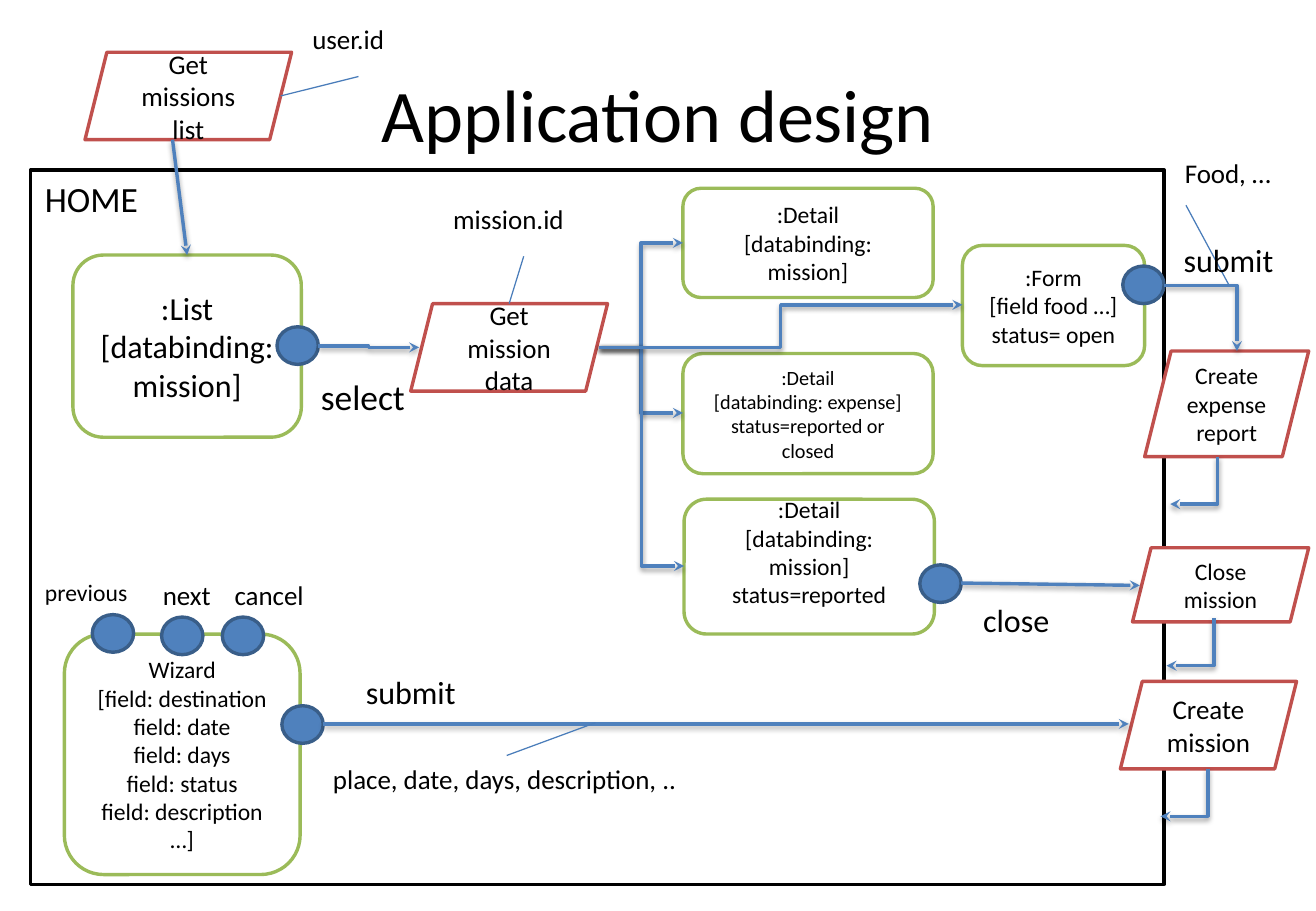
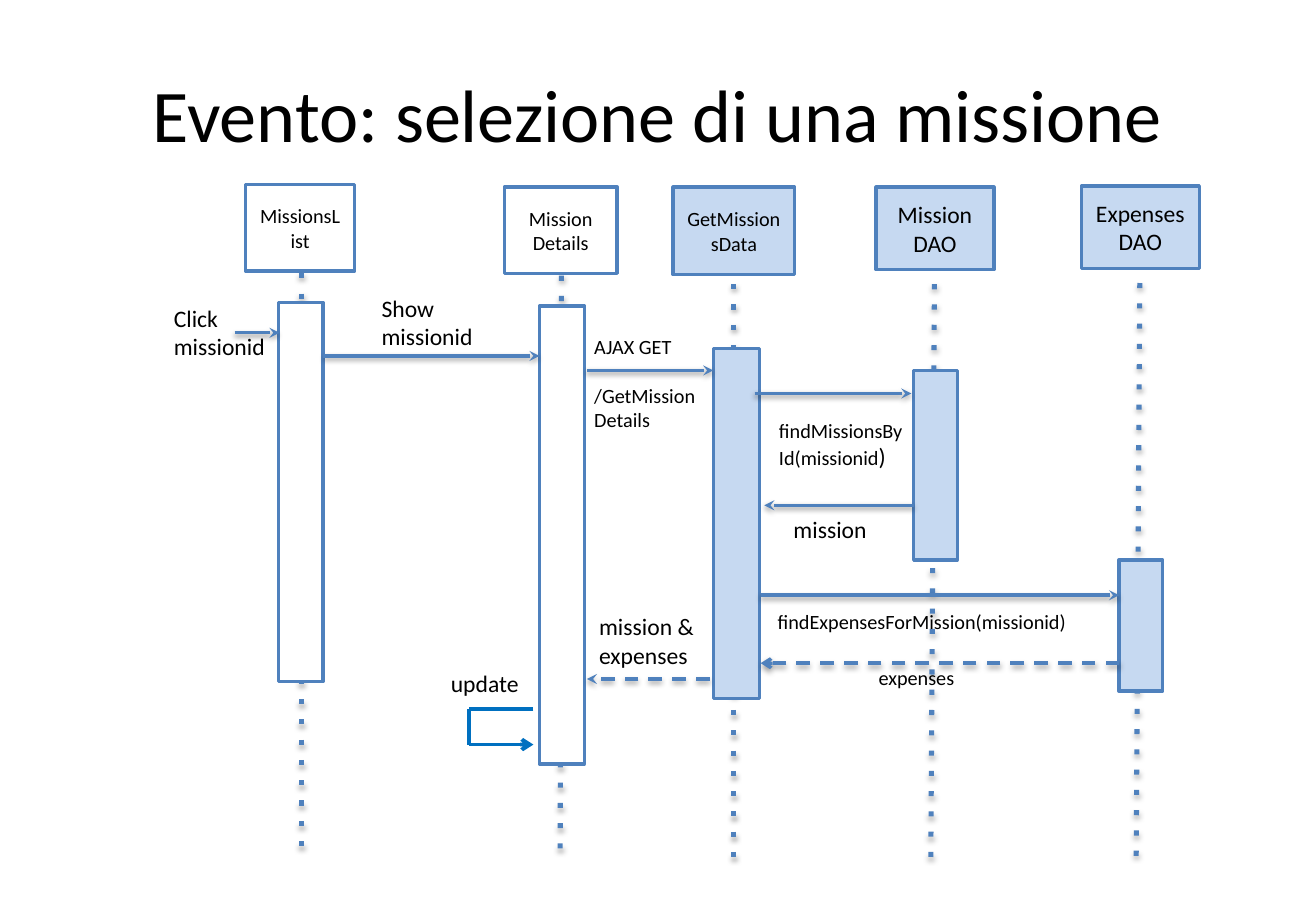
from lxml import etree
from pptx import Presentation
from pptx.dml.color import RGBColor
from pptx.enum.shapes import MSO_CONNECTOR, MSO_SHAPE
from pptx.enum.text import MSO_ANCHOR, PP_ALIGN
from pptx.oxml.ns import qn
from pptx.util import Inches, Pt

RECT, ROUND = MSO_SHAPE.RECTANGLE, MSO_SHAPE.ROUNDED_RECTANGLE
SLANT, OVAL = MSO_SHAPE.PARALLELOGRAM, MSO_SHAPE.OVAL
STRAIGHT, ELBOW = MSO_CONNECTOR.STRAIGHT, MSO_CONNECTOR.ELBOW
LEFT, CENTER = PP_ALIGN.LEFT, PP_ALIGN.CENTER
TOP, MIDDLE = MSO_ANCHOR.TOP, MSO_ANCHOR.MIDDLE

BLACK = RGBColor(0x00, 0x00, 0x00)
WHITE = RGBColor(0xFF, 0xFF, 0xFF)
BLUE = RGBColor(0x4F, 0x81, 0xBD)
DARK_BLUE = RGBColor(0x39, 0x5E, 0x89)
THIN_BLUE = RGBColor(0x4A, 0x7D, 0xBA)
LOOP_BLUE = RGBColor(0x00, 0x70, 0xC0)
PALE_BLUE = RGBColor(0xC6, 0xD9, 0xF1)
GREEN = RGBColor(0x9B, 0xBB, 0x59)
RED = RGBColor(0xC0, 0x50, 0x4D)

# Grid: ten columns and ten rows to the inch
UNIT = Inches(0.1)
COLS, ROWS = 108.3, 75
FRAME = dict(word_wrap=True, vertical_anchor=MIDDLE,
             margin_left=Inches(0.12), margin_right=Inches(0.12),
             margin_top=Inches(0.06), margin_bottom=Inches(0.06))
HEAD_FRAME = dict(margin_left=Inches(0.11), margin_right=Inches(0.11))

# Connector formats
ARROW = dict(color=BLUE, width=2, tail="stealth", shadow=(20000, 38000))
DASHED = ARROW | dict(dash="dash")
REPLY = DASHED | dict(tail="arrow")
LIFELINE = dict(color=BLUE, width=3, dash="dot", shadow=(23000, 35000))
LEADER = dict(color=THIN_BLUE, width=0.75)
LOOP = dict(color=LOOP_BLUE, width=2.25)


def box(s, kind, at, text="", size=14, fill=None, line=None,
        align=CENTER, **frame):
    """Add a preset shape, or a text box if kind is None; lines are paragraphs."""
    at = [round(v * UNIT) for v in at]
    if kind is None:
        sp = s.shapes.add_textbox(*at)
        align, frame = LEFT, dict(vertical_anchor=TOP) | frame
    else:
        sp = s.shapes.add_shape(kind, *at)
        sp.shadow.inherit = False
        sp.fill.solid()
        sp.fill.fore_color.rgb = fill
        sp.line.color.rgb = line
        sp.line.width = Pt(2)
    tf = sp.text_frame
    for name, value in (FRAME | frame).items():
        setattr(tf, name, value)
    tf.text = text
    for p in tf.paragraphs:
        p.alignment = align
        for r in p.runs:
            r.font.name, r.font.size = "Calibri", Pt(size)
            r.font.color.rgb = BLACK
    return sp


def link(s, ends, color, width, kind=STRAIGHT, dash=None, tail=None, shadow=None):
    """Connect (x1, y1, x2, y2); shadow is (distance in EMU, alpha)."""
    c = s.shapes.add_connector(kind, *[round(v * UNIT) for v in ends])
    c.line.color.rgb = color
    c.line.width = Pt(width)
    pr = c._element.spPr
    ln = pr.find(qn("a:ln"))
    if dash:
        etree.SubElement(ln, qn("a:prstDash"), val=dash)
    if tail:
        etree.SubElement(ln, qn("a:tailEnd"), type=tail)
    effects = etree.SubElement(pr, qn("a:effectLst"))
    if shadow:
        outer = etree.SubElement(effects, qn("a:outerShdw"), blurRad="40000",
                                 dist=str(shadow[0]), dir="5400000", rotWithShape="0")
        clr = etree.SubElement(outer, qn("a:srgbClr"), val="000000")
        etree.SubElement(clr, qn("a:alpha"), val=str(shadow[1]))
    return c


prs = Presentation()
prs.slide_width, prs.slide_height = round(COLS * UNIT), ROWS * UNIT
layout = prs.slide_layouts[5]
title = layout.placeholders[0]
for name, value in dict(left=5.4, top=3, width=97.5, height=12.5).items():
    setattr(title, name, round(value * UNIT))

for text in ("Application design", "Evento: selezione di una missione"):
    tf = prs.slides.add_slide(layout).shapes.title.text_frame
    for name, value in FRAME.items():
        setattr(tf, name, value)
    tf.text = text
    p = tf.paragraphs[0]
    p.alignment = CENTER
    for name, value in dict(name="Calibri", size=Pt(44)).items():
        setattr(p.runs[0].font, name, value)
    p.runs[0].font.color.rgb = BLACK
design, sequence = prs.slides

# Application design
s = design
box(s, RECT, (2.5, 14, 93.3, 58.8), "HOME", 21, WHITE, BLACK, LEFT,
    vertical_anchor=TOP)

views = [
    ((5.3, 52.2, 19.4, 19.8), 14, "Wizard\n[field: destination\nfield: date\n"
     "field: days\nfield: status\nfield: description …]"),
    ((6, 21, 18.8, 15), 19, ":List\n[databinding: mission]"),
    ((56.2, 15.5, 20.6, 9), 14, ":Detail\n[databinding: mission]"),
    ((56.2, 29.1, 20.6, 9.9), 12,
     ":Detail\n[databinding: expense]\nstatus=reported or closed"),
    ((79.2, 20.2, 15, 9.9), 14, ":Form\n[field food …]\nstatus= open"),
]
for at, size, text in views:
    box(s, ROUND, at, text, size, WHITE, GREEN)
box(s, ROUND, (56.3, 41.1, 20.6, 11.1),
    ":Detail\n[databinding: mission]\nstatus=reported", 14, WHITE, GREEN,
    margin_bottom=Inches(0.3))

actions = [
    ((7, 4.3, 17, 7.2), 16, "Get missions list"),
    ((33.8, 25, 16.2, 7.2), 16, "Get mission data"),
    ((94.2, 28.9, 13.5, 8.7), 14, "Create expense report"),
    ((93.2, 45.1, 14.5, 6.1), 14, "Close mission"),
    ((92.2, 56.1, 14.5, 7.2), 16, "Create mission"),
]
for at, size, text in actions:
    box(s, SLANT, at, text, size, WHITE, RED)

for x, y in [(23.2, 58.1), (22.8, 26.9), (7.6, 50.6), (13.3, 50.8),
             (18.3, 50.8), (75.7, 46.5), (92.4, 21.9)]:
    box(s, OVAL, (x, y, 3.4, 3.1), fill=BLUE, line=DARK_BLUE)

for ends in [(14.2, 11.5, 15.4, 21), (26.6, 59.6, 92.9, 59.6),
             (79.1, 48, 93.8, 48.2)]:
    link(s, ends, **ARROW)
link(s, (26.2, 28.5, 34.5, 28.6), kind=ELBOW, **ARROW)
for x, y in [(56.2, 20), (56.2, 34), (56.3, 46.6), (79.2, 25.1)]:
    link(s, (49.3, 28.6, x, y), kind=ELBOW, **ARROW)

# One-bend arrows: a quarter turn makes them run down, then left
turn = 3.9
bends = [((95.8, 23.5, 101.8, 28.9), 0)]
for x, y in [(100.2, 37.6), (99.9, 50.9), (99.4, 63.3)]:
    bends.append(((x - turn, y, x, y + turn), 90))
for ends, angle in bends:
    c = link(s, ends, kind=ELBOW, **ARROW)
    pr = c._element.spPr
    pr.find(qn("a:prstGeom")).set("prst", "bentConnector2")
    pr.find(qn("a:xfrm")).set("rot", str(angle * 60000))

for ends in [(41.7, 62.2, 49, 59.5), (43.1, 21.1, 41.9, 25),
             (29.5, 6.3, 23.1, 7.9), (97.6, 16.9, 101.1, 23.4)]:
    link(s, ends, **LEADER)

labels = [
    (24.5, 1.3, 10, 16, "user.id"), (36.1, 16.1, 13.9, 16, "mission.id"),
    (96.3, 12.3, 11.8, 16, "Food, …"), (96.2, 19.2, 9.9, 19, "submit"),
    (25.2, 30.3, 9.9, 21, "select"), (79.7, 48.8, 9.9, 19, "close"),
    (2.5, 47, 9.9, 14, "previous"), (12.2, 47, 7.8, 16, "next"),
    (18.1, 47, 9.9, 16, "cancel"), (28.9, 54.8, 9.9, 19, "submit"),
    (26.2, 62.2, 30.9, 16, "place, date, days, description, .."),
]
for x, y, w, size, text in labels:
    box(s, None, (x, y, w, 4), text, size)

# Sequence diagram: head box, lifeline, activation bar
s = sequence
lifelines = [
    ("MissionsList", 12, WHITE, (20.2, 15.2, 9, 7.1),
     (24.8, 22.5, 24.8, 70.9), (22.9, 24.9, 3.7, 31.2)),
    ("Mission\nDetails", 12, WHITE, (41.5, 15.4, 9.3, 7.1),
     (46.2, 22.7, 46.1, 70.9), (44.4, 25.2, 3.7, 37.7)),
    ("GetMissionsData", 12, PALE_BLUE, (55.4, 15.4, 10, 7.2),
     (60.4, 23.4, 60.4, 70.9), (58.7, 28.7, 3.8, 28.8)),
    ("Mission\nDAO", 14, PALE_BLUE, (72.1, 15.4, 9.7, 6.8),
     (76.9, 23.4, 76.6, 70.9), (75.2, 30.5, 3.6, 15.6)),
    ("Expenses\nDAO", 14, PALE_BLUE, (89, 15.3, 9.7, 6.8),
     (93.8, 23.3, 93.5, 70.8), (92.1, 46.1, 3.6, 10.8)),
]
for text, size, fill, head, ends, bar in lifelines:
    box(s, RECT, head, text, size, fill, BLUE, **HEAD_FRAME)
    link(s, ends, **LIFELINE)
    box(s, RECT, bar, fill=fill, line=BLUE)

messages = [
    (19.3, 23, 27.4, ARROW), (26.6, 44.4, 29.3, ARROW),
    (48.3, 58.7, 30.5, ARROW), (62.1, 75, 32.4, ARROW),
    (75.2, 62.9, 41.6, ARROW), (62.6, 92.1, 49, ARROW),
    (92.1, 62.6, 54.6, REPLY), (58.4, 48.3, 55.9, DASHED),
]
for x1, x2, y, style in messages:
    link(s, (x1, y, x2, y), **style)

link(s, (43.9, 58.4, 38.6, 58.4), **LOOP)
link(s, (38.6, 58.4, 38.6, 61.3), **LOOP)
link(s, (38.6, 61.3, 43.9, 61.3), tail="arrow", **LOOP)

captions = [
    (13.1, 24.4, 10.9, 14, "Click missionid"),
    (30.2, 23.6, 11.3, 14, "Show missionid"),
    (64.1, 41.8, 10.8, 14, "mission"),
    (48.1, 49.8, 10.5, 14, "mission & expenses"),
    (35.9, 54.5, 8.4, 14, "update"),
    (62.8, 49.6, 27.4, 12, "findExpensesForMission(missionid)"),
    (71.1, 54.2, 10.8, 12, "expenses"),
]
for x, y, w, size, text in captions:
    box(s, None, (x, y, w, 3.4), text, size)

ajax = box(s, None, (47.7, 26.9, 11.8, 10.5), "AJAX GET\n/GetMission\nDetails", 12)
ajax.text_frame.paragraphs[1].space_before = Pt(14.6)
find = box(s, None, (62.9, 33.8, 13.2, 6.5), "findMissionsBy\nId(missionid", 12)
r = find.text_frame.paragraphs[1].add_run()
r.text = ")"
for name, value in dict(name="Calibri", size=Pt(14)).items():
    setattr(r.font, name, value)
r.font.color.rgb = BLACK

prs.save("out.pptx")
